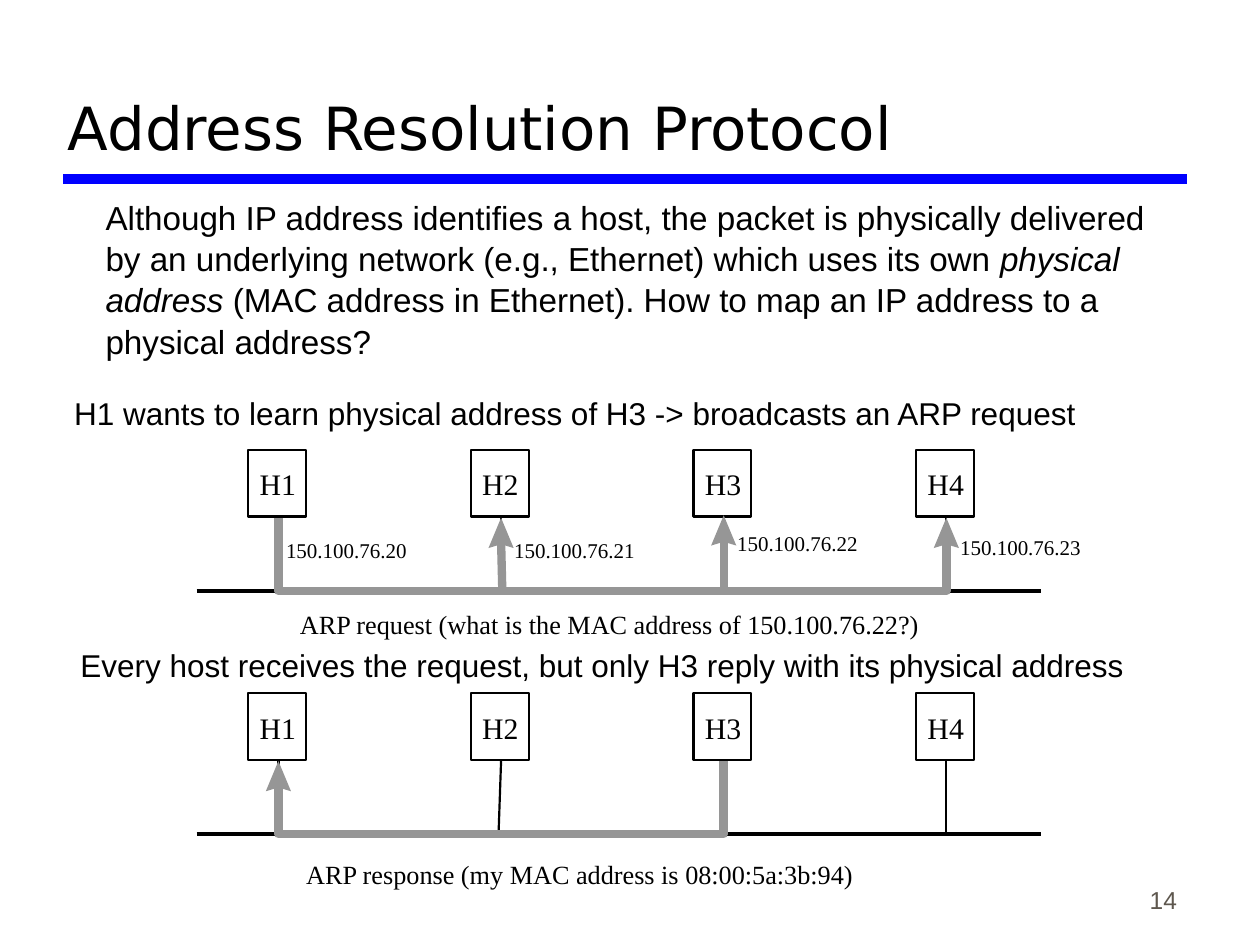
"""Build the Address Resolution Protocol slide with its request and response diagrams."""
from dataclasses import dataclass

from lxml import etree
from pptx import Presentation
from pptx.dml.color import RGBColor
from pptx.enum import shapes, text
from pptx.oxml import ns
from pptx.util import Inches, Pt


@dataclass(frozen=True)
class Theme:
    black: str = "000000"
    rule: str = "0000FF"
    signal: str = "969696"
    number: str = "5E574E"
    title_font: str = "DejaVu Sans"
    body_font: str = "Arial"
    diagram_font: str = "Times New Roman"
    title: int = 34
    body: int = 19
    statement: int = 18
    host: int = 17
    message: int = 15
    page: int = 14
    address: int = 12
    rule_width: float = 6
    signal_width: float = 4.75
    bus_width: float = 2.4
    thin: float = 1.25


THEME = Theme()
TITLE = "Address Resolution Protocol"
INTRO = [
    ("Although IP address identifies a host, the packet is physically delivered by an "
     "underlying network (e.g., Ethernet) which uses its own ", False),
    ("physical address ", True),
    ("(MAC address in Ethernet). How to map an IP address to a physical address?", False),
]
STATEMENTS = [
    (0.49, 3.08, 8.17, "H1 wants to learn physical address of H3 -> broadcasts an ARP request"),
    (0.54, 5.08, 8.48,
     "Every host receives the request, but only H3 reply with its physical address"),
]
MESSAGES = [
    (2.38, 4.83, 4.92, "ARP request (what is the MAC address of 150.100.76.22?)"),
    (2.43, 6.81, 4.35, "ARP response (my MAC address is 08:00:5a:3b:94)"),
]
ADDRESSES = [
    (2.27, 4.27, "150.100.76.20"),
    (4.08, 4.27, "150.100.76.21"),
    (5.85, 4.21, "150.100.76.22"),
    (7.62, 4.24, "150.100.76.23"),
]
HOSTS = ["H1", "H2", "H3", "H4"]
HOST_LEFT, HOST_PITCH, HOST_WIDTH, HOST_HEIGHT = 1.97, 1.767, 0.46, 0.53
STEM_X = [2.21 + HOST_PITCH * index for index in range(len(HOSTS))]
STEM_DROP, BUS_DROP = 0.54, 1.12
BUS_LEFT, BUS_RIGHT = 1.56, 8.26
REQUEST_TOP, RESPONSE_TOP = 3.57, 5.5
REQUEST_FEET = STEM_X
RESPONSE_FEET = [STEM_X[0], STEM_X[1] - 0.02, *STEM_X[2:]]


def rgb(value):
    return RGBColor.from_string(value)


def add_text(page, frame, spans, font, size, color=THEME.black, inset=(0.1, 0.05),
             wrap=False, align=None, anchor=text.MSO_ANCHOR.TOP):
    box = page.shapes.add_textbox(*map(Inches, frame))
    body = box.text_frame
    body.word_wrap = wrap
    body.vertical_anchor = anchor
    body.margin_left = body.margin_right = Inches(inset[0])
    body.margin_top = body.margin_bottom = Inches(inset[1])
    para = body.paragraphs[0]
    para.alignment = align
    para.font.name, para.font.size = font, Pt(size)
    para.font.color.rgb = rgb(color)
    for words, italic in spans:
        span = para.add_run()
        span.text = words
        if italic:
            span.font.italic = True
    return para


def add_label(page, frame, words, size):
    add_text(page, frame, [(words, False)], THEME.diagram_font, size, inset=(0, 0))


def add_line(page, start, end, color, width):
    line = page.shapes.add_connector(
        shapes.MSO_CONNECTOR.STRAIGHT, *map(Inches, (*start, *end)))
    line.line.color.rgb = rgb(color)
    line.line.width = Pt(width)
    etree.SubElement(line._element.spPr, ns.qn("a:effectLst"))


def add_outline(page, points, closed):
    builder = page.shapes.build_freeform(
        *(round(value * 1000) for value in points[0]), scale=Inches(1) / 1000)
    builder.add_line_segments(
        [(round(x * 1000), round(y * 1000)) for x, y in points[1:]], close=closed)
    outline = builder.convert_to_shape()
    outline.shadow.inherit = False
    return outline


def add_signal(page, points):
    signal = add_outline(page, points, False)
    signal.fill.background()
    signal.line.color.rgb = rgb(THEME.signal)
    signal.line.width = Pt(THEME.signal_width)


def add_arrowhead(page, x, top):
    head = add_outline(page, [(x, top), (x + 0.1, top + 0.24), (x, top + 0.21),
                              (x - 0.1, top + 0.24)], True)
    head.fill.solid()
    head.fill.fore_color.rgb = rgb(THEME.signal)
    head.line.fill.background()


def add_network(page, top, feet):
    bus = top + BUS_DROP
    add_line(page, (BUS_LEFT, bus), (BUS_RIGHT, bus), THEME.black, THEME.bus_width)
    for index, (name, x, foot) in enumerate(zip(HOSTS, STEM_X, feet)):
        left = HOST_LEFT + HOST_PITCH * index
        host = page.shapes.add_shape(
            shapes.MSO_SHAPE.RECTANGLE,
            *map(Inches, (left, top, HOST_WIDTH, HOST_HEIGHT)))
        host.shadow.inherit = False
        host.fill.background()
        host.line.color.rgb = rgb(THEME.black)
        host.line.width = Pt(THEME.thin)
        add_label(page, (left + 0.09, top + 0.13, 0.29, 0.28), name, THEME.host)
        add_line(page, (x, top + STEM_DROP), (foot, bus), THEME.black, THEME.thin)


def add_request(page):
    stem, bus = REQUEST_TOP + STEM_DROP, REQUEST_TOP + BUS_DROP
    first, second, third, last = STEM_X
    add_signal(page, [(first, stem), (first, bus), (last, bus), (last, stem + 0.18)])
    add_arrowhead(page, last, stem)
    for x, foot, tip in [(second, second + 0.01, stem), (third, third, stem - 0.02)]:
        add_line(page, (foot, bus), (x, tip + 0.18), THEME.signal, THEME.signal_width)
        add_arrowhead(page, x, tip)


def add_response(page):
    stem, bus = RESPONSE_TOP + STEM_DROP, RESPONSE_TOP + BUS_DROP
    target, source = STEM_X[0], STEM_X[2]
    add_signal(page, [(source, stem), (source, bus), (target, bus), (target, stem + 0.18)])
    add_arrowhead(page, target, stem)


def build():
    deck = Presentation()
    deck.slide_width, deck.slide_height = Inches(10), Inches(7.5)
    page = deck.slides.add_slide(deck.slide_layouts[6])
    add_line(page, (0.5, 1.42), (9.42, 1.42), THEME.rule, THEME.rule_width)
    add_text(page, (7.36, 6.81, 2.08, 0.5), [("14", False)], THEME.body_font, THEME.page,
             THEME.number, wrap=True, align=text.PP_ALIGN.RIGHT, anchor=text.MSO_ANCHOR.BOTTOM)
    add_text(page, (0.44, 0.17, 8.97, 1.17), [(TITLE, False)], THEME.title_font,
             THEME.title, wrap=True, anchor=text.MSO_ANCHOR.BOTTOM)
    add_network(page, REQUEST_TOP, REQUEST_FEET)
    add_network(page, RESPONSE_TOP, RESPONSE_FEET)
    add_request(page)
    add_response(page)
    for left, top, width, words in MESSAGES:
        add_label(page, (left, top, width, 0.25), words, THEME.message)
    for left, top, words in ADDRESSES:
        add_label(page, (left, top, 0.96, 0.2), words, THEME.address)
    intro = add_text(page, (0.36, 1.5, 9, 1.42), INTRO, THEME.body_font, THEME.body, wrap=True)
    intro._p.get_or_add_pPr().set("marL", str(Inches(0.38)))
    intro.line_spacing = 1.04
    for left, top, width, words in STATEMENTS:
        add_text(page, (left, top, width, 0.4), [(words, False)],
                 THEME.body_font, THEME.statement)
    deck.save("out.pptx")


build()
